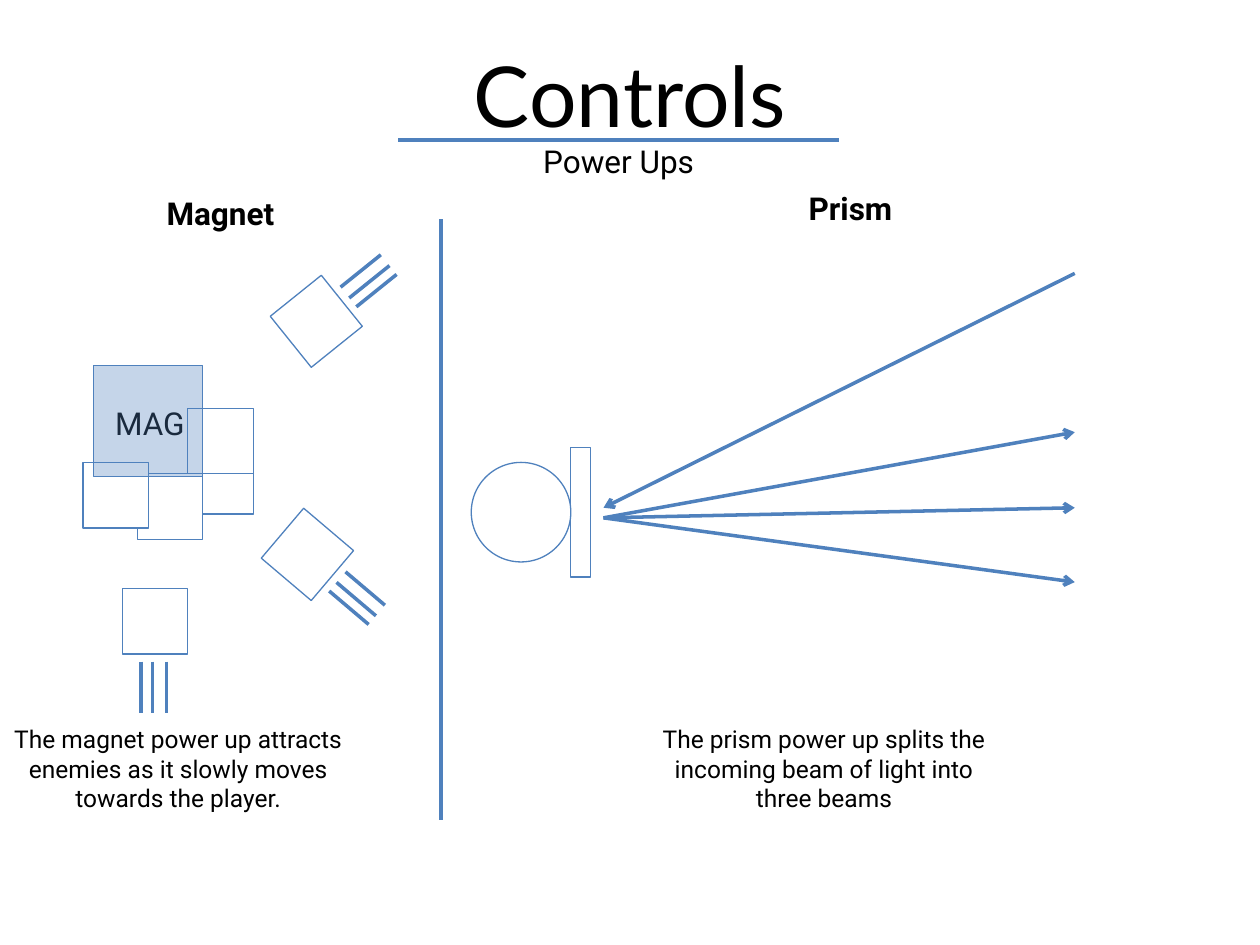
from math import cos, radians, sin

from lxml.etree import SubElement
from pptx import Presentation
from pptx.dml.color import RGBColor
from pptx.enum.shapes import MSO_CONNECTOR as Link, MSO_SHAPE as Form
from pptx.enum.text import PP_ALIGN as Align
from pptx.oxml.ns import qn
from pptx.util import Inches, Pt

WIDE, HIGH = 10, 7.5
BLUE, WHITE, BLACK = "4F81BD", "FFFFFF", "000000"
SIDE = 0.52        # enemy block
SPLIT = 3.5        # divider between the halves
HEAD = {"size": Pt(18), "bold": True}
NOTE = {"size": Pt(14)}

# Words: text, left, top, width, height, font values
TITLE = [
    ("Controls", 0, 0.3, WIDE, 0.91, {"size": Pt(48), "name": "Lato"}),
    ("Power Ups", 3.16, 1.08, 3.5, 0.4, {}),
]
TAG = ("MAG", 0.8, 3.16, 0.78, 0.4, {})
WORDS = [
    ("Magnet", 0, 1.49, SPLIT, 0.4, HEAD),
    ("Prism", SPLIT, 1.45, WIDE - SPLIT, 0.4, HEAD),
    ("The magnet power up attracts enemies as it slowly moves "
     "towards the player.", -0.14, 5.7, 3.11, 0.81, NOTE),
    ("The prism power up splits the incoming beam of light into "
     "three beams", 5.05, 5.7, 2.98, 0.81, NOTE),
]

# Magnet: blocks stuck below and above the tag, then flying ones
UNDER = [(1.49, 3.56)]
STUCK = [(1.09, 3.76)]
OVER = [(0.66, 3.67), (1.49, 3.24)]
FLYING = [(1.23, 4.93, 90), (2.51, 2.55, -38.8), (2.44, 4.4, 40.3)]  # centre, trail angle
TRAILS = (-0.11, -0.02, 0.09)  # sideways shifts
GAP, TRAIL = 0.32, 0.41

# Prism: incoming beam and split beams
EDGE, SOURCE = 8.53, (4.79, 4.11)
BEAMS = [((EDGE, 2.17), (4.79, 4.03))]
BEAMS += [(SOURCE, (EDGE, y)) for y in (3.43, 4.03, 4.62)]

deck = Presentation()
deck.slide_width, deck.slide_height = Inches(WIDE), Inches(HIGH)
slide = deck.slides.add_slide(deck.slide_layouts[6])
parts = slide.shapes


def tint(code):
    return RGBColor.from_string(code)


def write(text, x, y, w, h, form, wrap=True):
    box = parts.add_textbox(*map(Inches, (x, y, w, h)))
    box.text_frame.word_wrap = wrap
    para = box.text_frame.paragraphs[0]
    para.alignment = Align.CENTER
    run = para.add_run()
    run.text = text
    for key, val in ({"size": Pt(18), "name": "Roboto"} | form).items():
        setattr(run.font, key, val)
    run.font.color.rgb = tint(BLACK)


def shape(form, x, y, w, h, fill=None, alpha=None, turn=0):
    item = parts.add_shape(form, *map(Inches, (x, y, w, h)))
    item.shadow.inherit = False
    item.rotation = turn
    item.line.color.rgb, item.line.width = tint(BLUE), Pt(0.75)
    if fill:
        item.fill.solid()
        item.fill.fore_color.rgb = tint(fill)
    else:
        item.fill.background()
    if alpha:
        color = item.fill._xPr.find(".//" + qn("a:srgbClr"))
        SubElement(color, qn("a:alpha"), val=str(alpha * 1000))


def block(x, y, turn=0):
    shape(Form.RECTANGLE, x, y, SIDE, SIDE, WHITE, turn=turn)


def line(start, end, arrow=False):
    item = parts.add_connector(Link.STRAIGHT, *map(Inches, (*start, *end)))
    item.line.color.rgb, item.line.width = tint(BLUE), Pt(2)
    if arrow:
        SubElement(item.line._get_or_add_ln(), qn("a:tailEnd"), type="arrow")
    SubElement(item._element.spPr, qn("a:effectLst"))


def fly(x, y, angle):
    """Draw a block with three trails that leave it at the angle."""
    block(x - SIDE / 2, y - SIDE / 2, (angle + 270) % 360)
    ux, uy = cos(radians(angle)), sin(radians(angle))
    for side in TRAILS:
        ends = [(x + far * ux + side * uy, y + far * uy - side * ux)
                for far in (GAP, GAP + TRAIL)]
        line(*ends)


# Title and rule
for spot in UNDER:
    block(*spot)
for item in TITLE:
    write(*item)
line((3.16, 1.11), (6.66, 1.11))

# Magnet
for spot in STUCK:
    block(*spot)
write(*TAG, wrap=False)
for spot in OVER:
    block(*spot)
shape(Form.RECTANGLE, 0.74, 2.9, 0.87, 0.88, BLUE, alpha=33)
for enemy in FLYING:
    fly(*enemy)

# Divider and prism
line((SPLIT, 1.74), (SPLIT, 6.51))
shape(Form.OVAL, 3.74, 3.67, 0.79, 0.79)
shape(Form.RECTANGLE, 4.53, 3.55, 0.16, 1.03)
for start, end in BEAMS:
    line(start, end, arrow=True)

# Headings and captions
for item in WORDS:
    write(*item)

deck.save("out.pptx")
